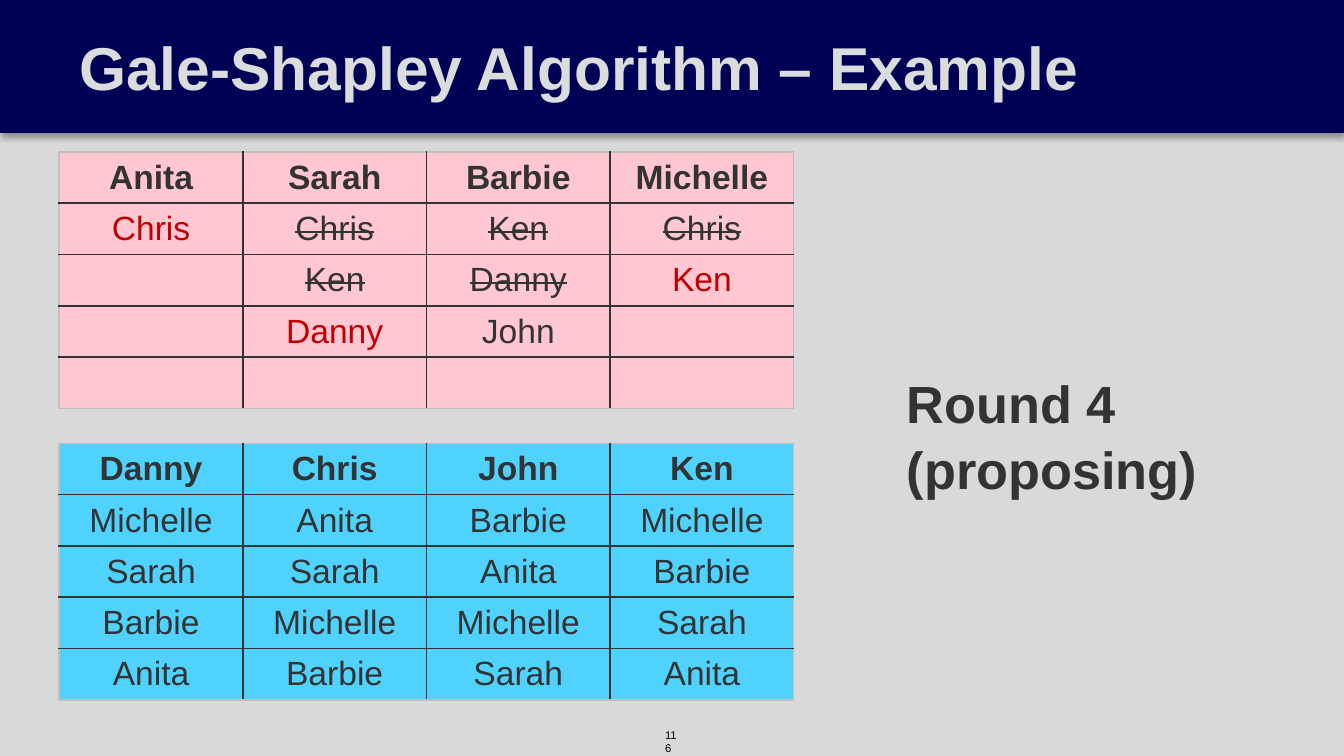
from dataclasses import dataclass

from lxml.etree import SubElement
from pptx import Presentation
from pptx.dml.color import RGBColor as Color
from pptx.enum.shapes import MSO_SHAPE as Shape
from pptx.enum.text import MSO_ANCHOR as Anchor, PP_ALIGN as Align
from pptx.oxml.ns import qn
from pptx.util import Cm, Pt


@dataclass(frozen=True)
class Theme:
    font: str = "Arial"
    background: str = "D9D9D9"
    banner: str = "000054"
    banner_line: str = "000052"
    title: str = "DBDCDD"
    ink: str = "333333"
    black: str = "000000"
    proposal: str = "C00000"
    edge: str = "BFBFBF"
    women: str = "FFC7D1"
    men: str = "50D2FF"
    title_size: float = 32.4
    round_size: float = 28
    cell_size: float = 18
    number_size: float = 6


THEME = Theme()
COLUMN_WIDTH = 3.47
ROW_HEIGHT = 0.97
STRUCK, PROPOSED = "-", "+"

WOMEN = [
    ["Anita", "Sarah", "Barbie", "Michelle"],
    ["+Chris", "-Chris", "-Ken", "-Chris"],
    ["", "-Ken", "-Danny", "+Ken"],
    ["", "+Danny", "John", ""],
    ["", "", "", ""],
]
MEN = [
    ["Danny", "Chris", "John", "Ken"],
    ["Michelle", "Anita", "Barbie", "Michelle"],
    ["Sarah", "Sarah", "Anita", "Barbie"],
    ["Barbie", "Michelle", "Michelle", "Sarah"],
    ["Anita", "Barbie", "Sarah", "Anita"],
]


def style(para, size, color, bold=False):
    font = para.font
    font.name = THEME.font
    font.size = Pt(size)
    font.bold = bold
    font.color.rgb = Color.from_string(color)


def add_bar(page, width, shadow=False):
    bar = page.shapes.add_shape(Shape.RECTANGLE, 0, 0, Cm(width), Cm(2.51))
    bar.shadow.inherit = False
    bar.fill.solid()
    bar.fill.fore_color.rgb = Color.from_string(THEME.banner)
    if shadow:
        bar.line.color.rgb = Color.from_string(THEME.banner_line)
        bar.line.width = Pt(0.75)
        effects = bar._element.spPr.find(qn("a:effectLst"))
        outer = SubElement(effects, qn("a:outerShdw"), blurRad=str(Pt(3.1)),
                           dist=str(Pt(1.8)), dir="5400000", rotWithShape="0")
        tint = SubElement(outer, qn("a:srgbClr"), val=THEME.black)
        SubElement(tint, qn("a:alpha"), val="35000")
    else:
        bar.line.fill.background()
    return bar


def add_title(page, text):
    frame = add_bar(page, 22.94).text_frame
    frame.word_wrap = True
    frame.vertical_anchor = Anchor.MIDDLE
    frame.margin_left = Cm(1.5)
    frame.margin_right = Cm(1.02)
    para = frame.paragraphs[0]
    para.text = text
    para.alignment = Align.LEFT
    style(para, THEME.title_size, THEME.title, bold=True)


def add_text(page, place, lines, size, color, bold=False, spacing=1.0):
    box = page.shapes.add_textbox(*map(Cm, place))
    frame = box.text_frame
    frame.word_wrap = True
    frame.text = "\n".join(lines)
    for para in frame.paragraphs:
        para.line_spacing = spacing
        style(para, size, color, bold)


def set_borders(cell, colors):
    properties = cell._tc.get_or_add_tcPr()
    for side, color in zip("LRTB", colors):
        line = SubElement(properties, qn(f"a:ln{side}"), w=str(Pt(1)))
        paint = SubElement(line, qn("a:solidFill"))
        SubElement(paint, qn("a:srgbClr"), val=color)


def fill_cell(cell, entry, fill, header):
    cell.fill.solid()
    cell.fill.fore_color.rgb = Color.from_string(fill)
    cell.vertical_anchor = Anchor.MIDDLE
    cell.margin_top = cell.margin_bottom = Cm(0.1)
    para = cell.text_frame.paragraphs[0]
    para.alignment = Align.CENTER
    color = THEME.proposal if entry.startswith(PROPOSED) else THEME.ink
    style(para, THEME.cell_size, color, header)
    if entry:
        span = para.add_run()
        span.text = entry.lstrip(STRUCK + PROPOSED)
        if entry.startswith(STRUCK):
            span._r.get_or_add_rPr().set("strike", "sngStrike")


def add_preferences(page, top, rows, fill):
    row_count, column_count = len(rows), len(rows[0])
    table = page.shapes.add_table(
        row_count, column_count, Cm(1.12), Cm(top),
        Cm(COLUMN_WIDTH * column_count), Cm(ROW_HEIGHT * row_count)).table
    for column in table.columns:
        column.width = Cm(COLUMN_WIDTH)
    for row_index, entries in enumerate(rows):
        table.rows[row_index].height = Cm(ROW_HEIGHT)
        for column_index, entry in enumerate(entries):
            cell = table.cell(row_index, column_index)
            outer = (column_index == 0, column_index == column_count - 1,
                     row_index == 0, row_index == row_count - 1)
            set_borders(cell, [THEME.edge if side else THEME.ink for side in outer])
            fill_cell(cell, entry, fill, header=row_index == 0)


def main():
    deck = Presentation()
    deck.slide_width, deck.slide_height = Cm(25.4), Cm(14.29)
    page = deck.slides.add_slide(deck.slide_layouts[6])
    page.background.fill.solid()
    page.background.fill.fore_color.rgb = Color.from_string(THEME.background)

    add_text(page, (12.32, 13.64, 0.76, 0.51), ["116"], THEME.number_size, THEME.black)
    add_bar(page, 25.4, shadow=True)
    add_title(page, "Gale-Shapley Algorithm – Example")
    add_preferences(page, 2.87, WOMEN, THEME.women)
    add_preferences(page, 8.38, MEN, THEME.men)
    add_text(page, (16.89, 6.83, 6.07, 2.64), ["Round 4", "(proposing)"],
             THEME.round_size, THEME.ink, bold=True, spacing=1.05)
    deck.save("out.pptx")


if __name__ == "__main__":
    main()
